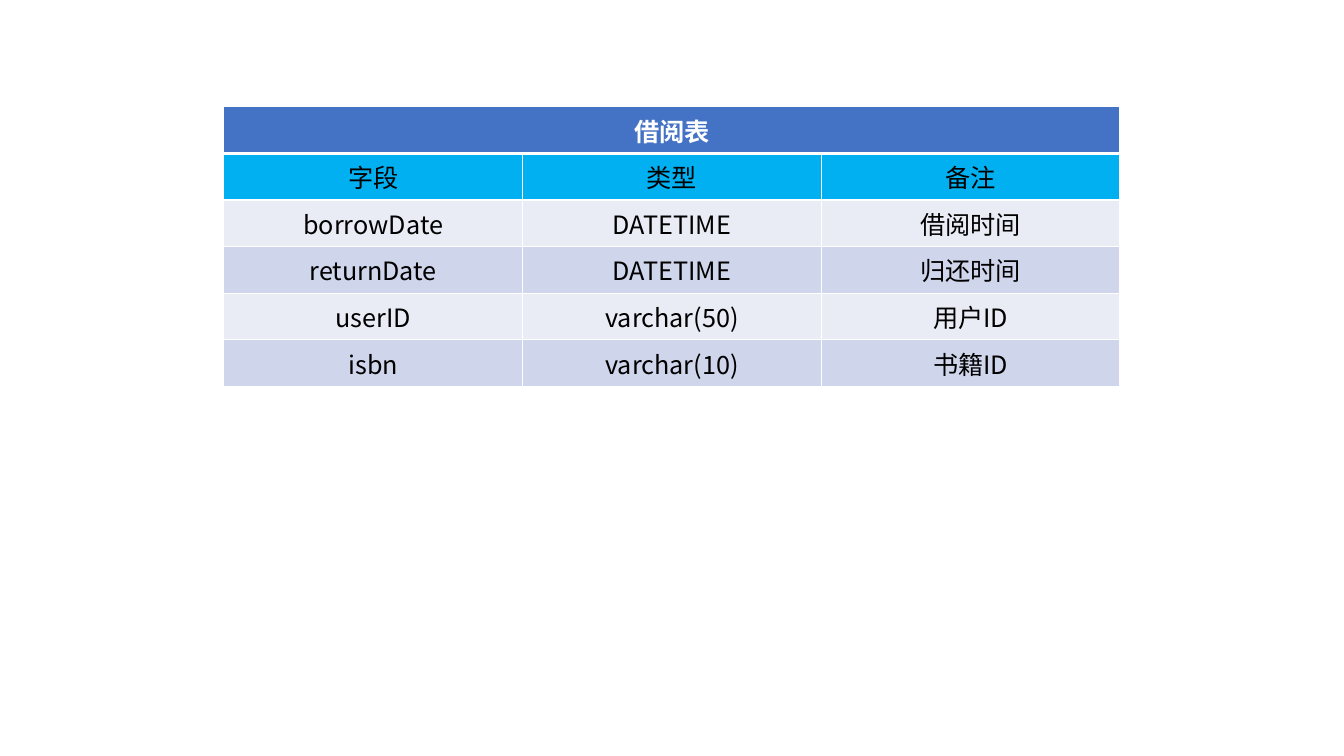
from lxml import etree
from pptx import Presentation
from pptx.dml.color import RGBColor
from pptx.enum import text
from pptx.oxml import ns
from pptx.util import Inches, Pt

FONT = "Noto Sans CJK SC"
WHITE = RGBColor(0xFF, 0xFF, 0xFF)
BLACK = RGBColor(0x00, 0x00, 0x00)
TITLE_BLUE = RGBColor(0x44, 0x72, 0xC4)
HEADING_BLUE = RGBColor(0x00, 0xB0, 0xF0)
BAND_LIGHT = RGBColor(0xE9, 0xEB, 0xF5)
BAND_DARK = RGBColor(0xCF, 0xD5, 0xEA)

ROW_HEIGHT = 0.46
BORROW_FIELDS = [
    ("借阅表", "", ""),
    ("字段", "类型", "备注"),
    ("borrowDate", "DATETIME", "借阅时间"),
    ("returnDate", "DATETIME", "归还时间"),
    ("userID", "varchar(50)", "用户ID"),
    ("isbn", "varchar(10)", "书籍ID"),
]
ROW_FILLS = [TITLE_BLUE, HEADING_BLUE] + [BAND_LIGHT, BAND_DARK] * 2


def add_border(cell, side, points):
    line = etree.SubElement(cell._tc.get_or_add_tcPr(), ns.qn(f"a:ln{side}"), w=str(Pt(points)))
    solid = etree.SubElement(line, ns.qn("a:solidFill"))
    etree.SubElement(solid, ns.qn("a:srgbClr"), val=str(WHITE))


prs = Presentation()
prs.slide_width = Inches(13.33)
prs.slide_height = Inches(7.5)
slide = prs.slides.add_slide(prs.slide_layouts[6])

borrow_table = slide.shapes.add_table(
    len(BORROW_FIELDS), 3, Inches(2.22), Inches(1.06),
    Inches(8.89), Inches(ROW_HEIGHT * len(BORROW_FIELDS)),
).table
borrow_table.cell(0, 0).merge(borrow_table.cell(0, 2))

for row, (labels, fill) in enumerate(zip(BORROW_FIELDS, ROW_FILLS)):
    for column, label in enumerate(labels):
        cell = borrow_table.cell(row, column)
        for side in "LRTB":
            thick = (row, side) in [(0, "B"), (1, "T")]
            add_border(cell, side, 3 if thick else 1)
        cell.fill.solid()
        cell.fill.fore_color.rgb = fill
        if not label:
            continue
        cell.text_frame.text = label
        paragraph = cell.text_frame.paragraphs[0]
        paragraph.alignment = text.PP_ALIGN.CENTER
        run = paragraph.runs[0]
        run.font.size = Pt(18)
        run.font.bold = row == 0
        run.font.color.rgb = WHITE if row == 0 else BLACK
        run.font.name = FONT
        etree.SubElement(run.font._element, ns.qn("a:ea"), typeface=FONT)

prs.save("out.pptx")
